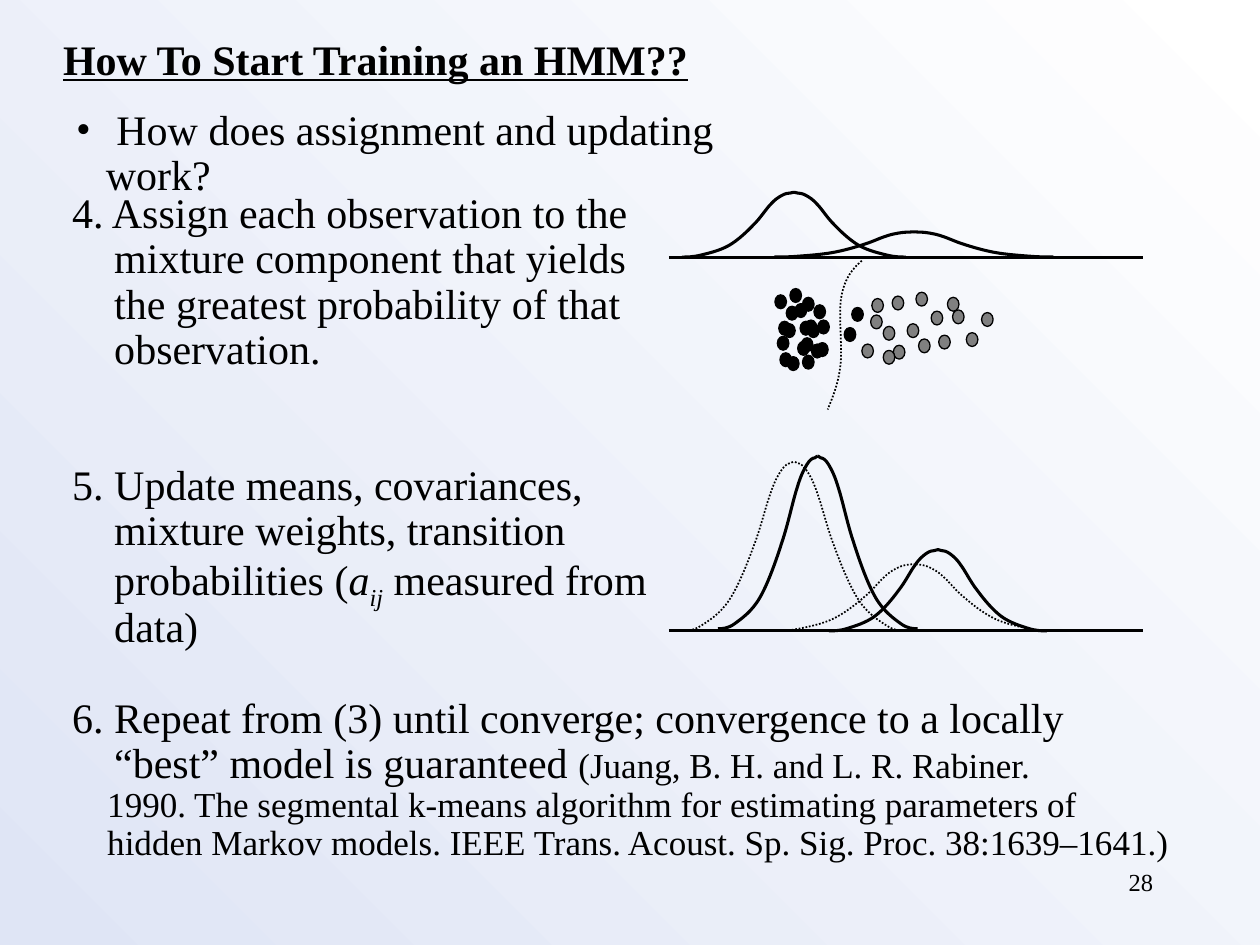
from lxml import etree
from pptx import Presentation
from pptx.dml.color import RGBColor
from pptx.enum import dml, shapes, text
from pptx.oxml import ns
from pptx.util import Pt

BLACK = RGBColor(0, 0, 0)
GREY = RGBColor(0x80, 0x80, 0x80)
WHITE = RGBColor(0xFF, 0xFF, 0xFF)
PALE_BLUE = RGBColor(0xDF, 0xE5, 0xF5)
BODY = {"name": "Times New Roman", "size": Pt(24)}
SMALL = {"size": Pt(20)}
ITALIC = {"italic": True}
DOT_W, DOT_H = 6.6, 7.9
AXIS_LEFT, AXIS_RIGHT = 382.3, 653
TOP_AXIS, LOW_AXIS = 146.9, 360.5

HALF_BELL = [(0, 0), (.04, 0), (.1, 0), (.17, .03), (.24, .06), (.34, .1),
             (.42, .18), (.5, .26), (.58, .39), (.64, .5), (.7, .6), (.75, .74),
             (.79, .81), (.83, .89), (.86, .92), (.89, .95), (.92, .98),
             (.95, .99), (.97, .99), (.99, 1), (1, 1), (1, 1)]
BOUNDARY = [(492.5, 149), (487.4, 153.4), (483.1, 158.4), (481, 168.5),
            (478.8, 178.6), (481.7, 198.7), (480.2, 209.5),
            (478.8, 220.3), (475.9, 226.8), (473, 234)]
# peak x, half width, base y, height, line width, dotted
BELLS = [(453.7, 64, TOP_AXIS, 37, 1.75, False),
         (522.3, 79.7, TOP_AXIS, 14.4, 1.75, False),
         (453.7, 64, LOW_AXIS, 96.8, 1, True),
         (522.3, 79.7, LOW_AXIS, 38.2, 1, True),
         (467.3, 57, 359.3, 98.6, 1.75, False),
         (536, 62.3, LOW_AXIS, 46.4, 1.75, False)]
BLACK_DOTS = [(445.7, 201.6), (465.1, 174.2), (466.6, 195.8), (455.8, 195.1),
              (461.5, 185), (454.3, 173.5), (467.3, 182.9), (442.8, 168.5),
              (450, 203.8), (458.6, 203), (458.6, 169.9), (447.8, 185),
              (451.4, 164.9), (457.9, 193), (444.2, 192.2), (460.1, 182.9),
              (457.2, 183.6), (463.7, 196.6), (449.3, 175), (486.7, 175.7),
              (482.4, 187.2), (445, 183.6)]
GREY_DOTS = [(492.5, 196.6), (504.7, 186.5), (498.2, 170.6), (509.8, 169.2),
             (510.5, 197.3), (518.4, 185), (523.4, 167), (524.9, 193.7),
             (532.1, 177.8), (504.7, 200.2), (497.5, 180), (544.3, 177.1),
             (552.2, 190.1), (536.4, 191.5), (560.9, 178.6), (541.4, 169.9)]
# space before, left indent, first-line indent, runs
STEPS = [
    (0, 24, -24, [("4. Assign each observation to the", {})]),
    (0, 24, 0, [("mixture component that yields", {})]),
    (0, 24, 0, [("the greatest probability of that", {})]),
    (0, 24, 0, [("observation.", {})]),
    (51.8, 24, -24, [("5. Update means, covariances,", {})]),
    (0, 24, 0, [("mixture weights, transition", {})]),
    (0, 24, 0, [("probabilities (", {}), ("a", ITALIC),
                ("ij", {**ITALIC, "baseline": "-25000"}), (" measured from", {})]),
    (0, 24, 0, [("data)", {})]),
    (25.9, 24, -24, [("6. Repeat from (3) until converge; convergence to a locally\n"
                      "“best” model is guaranteed ", {}),
                     ("(Juang, B. H. and L. R. Rabiner.", SMALL)]),
    (0, 20, 0, [("1990. The segmental k-means algorithm for estimating parameters of",
                 SMALL)]),
    (0, 20, 0, [("hidden Markov models. IEEE Trans. Acoust. Sp. Sig. Proc. 38:1639–1641.)",
                 SMALL)]),
]


def add_run(p, words, fmt):
    """Add words to a paragraph, breaking lines at newlines."""
    for i, line in enumerate(words.split("\n")):
        if i:
            p.add_line_break()
        r = p.add_run()
        r.text = line
        for key, value in {**BODY, **fmt}.items():
            if key == "baseline":
                r.font._element.set(key, value)
            else:
                setattr(r.font, key, value)
        r.font.color.rgb = BLACK


def add_text(s, box, wrap=True):
    """Add an empty text box and return its text frame."""
    tf = s.shapes.add_textbox(*map(Pt, box)).text_frame
    tf.word_wrap = wrap
    return tf


def set_indent(p, left, first):
    """Set the left and first-line indents of a paragraph."""
    pPr = p._p.get_or_add_pPr()
    pPr.set("marL", str(Pt(left)))
    pPr.set("indent", str(Pt(first)))
    return pPr


def add_title(s):
    """Place and format the title placeholder."""
    sp = s.shapes.title
    sp.left, sp.top, sp.width, sp.height = map(Pt, (28.8, 15.5, 376.6, 36))
    for key, value in {"word_wrap": False, "auto_size": text.MSO_AUTO_SIZE.NONE,
                       "vertical_anchor": text.MSO_ANCHOR.TOP}.items():
        setattr(sp.text_frame, key, value)
    p = sp.text_frame.paragraphs[0]
    p.alignment = text.PP_ALIGN.LEFT
    add_run(p, "How To Start Training an HMM??", {"bold": True, "underline": True})


def add_question(s):
    """Add the bulleted question."""
    p = add_text(s, (36.4, 58.7, 435.6, 33.1)).paragraphs[0]
    p.line_spacing = 0.9
    pPr = set_indent(p, 17, -17)
    etree.SubElement(pPr, ns.qn("a:buFont")).set("typeface", BODY["name"])
    etree.SubElement(pPr, ns.qn("a:buChar")).set("char", "•")
    add_run(p, " How does assignment and updating work?", {})


def add_steps(s):
    """Add the numbered steps with hanging indents."""
    tf = add_text(s, (34.2, 106.2, 643, 391), wrap=False)
    for i, (before, left, first, runs) in enumerate(STEPS):
        p = tf.add_paragraph() if i else tf.paragraphs[0]
        p.line_spacing = 0.9
        if before:
            p.space_before = Pt(before)
        set_indent(p, left, first)
        for words, fmt in runs:
            add_run(p, words, fmt)


def add_page_number(s):
    """Add the page number."""
    p = add_text(s, (516.2, 491.8, 149.8, 36)).paragraphs[0]
    p.alignment = text.PP_ALIGN.RIGHT
    add_run(p, "28", {"size": Pt(14)})


def add_curve(s, controls, width, dotted):
    """Draw an open chain of cubic curves."""
    points = [(Pt(x), Pt(y)) for x, y in controls]
    fb = s.shapes.build_freeform(*points[0])
    fb.add_line_segments(points[1:], close=False)
    sp = fb.convert_to_shape()
    segments = list(sp._element.iter(ns.qn("a:lnTo")))
    for i in range(0, len(segments), 3):
        cubic = etree.Element(ns.qn("a:cubicBezTo"))
        segments[i].addprevious(cubic)
        for segment in segments[i:i + 3]:
            cubic.append(segment[0])
            segment.getparent().remove(segment)
    sp.shadow.inherit = False
    sp.fill.background()
    sp.line.color.rgb = BLACK
    sp.line.width = Pt(width)
    if dotted:
        sp.line.dash_style = dml.MSO_LINE.ROUND_DOT


def add_bell(s, peak, half, base, height, width, dotted):
    """Draw a bell curve as two mirrored halves."""
    for side in (-1, 1):
        controls = [(peak + side * half * (1 - x), base - height * y) for x, y in HALF_BELL]
        add_curve(s, controls, width, dotted)


def add_axis(s, y):
    """Draw a horizontal axis."""
    line = s.shapes.add_connector(shapes.MSO_CONNECTOR.STRAIGHT,
                                  *map(Pt, (AXIS_LEFT, y, AXIS_RIGHT, y)))
    line.line.color.rgb = BLACK
    line.line.width = Pt(1.75)
    etree.SubElement(line._element.spPr, ns.qn("a:effectLst"))


def add_dot(s, x, y, color):
    """Draw one observation."""
    sp = s.shapes.add_shape(shapes.MSO_SHAPE.OVAL, *map(Pt, (x, y, DOT_W, DOT_H)))
    sp.shadow.inherit = False
    sp.fill.solid()
    sp.fill.fore_color.rgb = color
    sp.line.color.rgb = BLACK
    sp.line.width = Pt(0.75)


def set_background(s):
    """Fill the background with a diagonal gradient."""
    fill = s.background.fill
    fill.gradient()
    fill.gradient_angle = 225
    for stop, position, color in zip(fill.gradient_stops, (0, 1), (WHITE, PALE_BLUE)):
        stop.position = position
        stop.color.rgb = color


def main():
    """Build the slide and save it."""
    prs = Presentation()
    prs.slide_width, prs.slide_height = Pt(720), Pt(540)
    s = prs.slides.add_slide(prs.slide_layouts[5])
    set_background(s)
    add_title(s)
    add_question(s)
    add_steps(s)
    for y in (TOP_AXIS, LOW_AXIS):
        add_axis(s, y)
    for bell in BELLS:
        add_bell(s, *bell)
    for dots, color in ((BLACK_DOTS, BLACK), (GREY_DOTS, GREY)):
        for x, y in dots:
            add_dot(s, x, y, color)
    add_curve(s, BOUNDARY, 1, True)
    add_page_number(s)
    prs.save("out.pptx")


if __name__ == "__main__":
    main()
